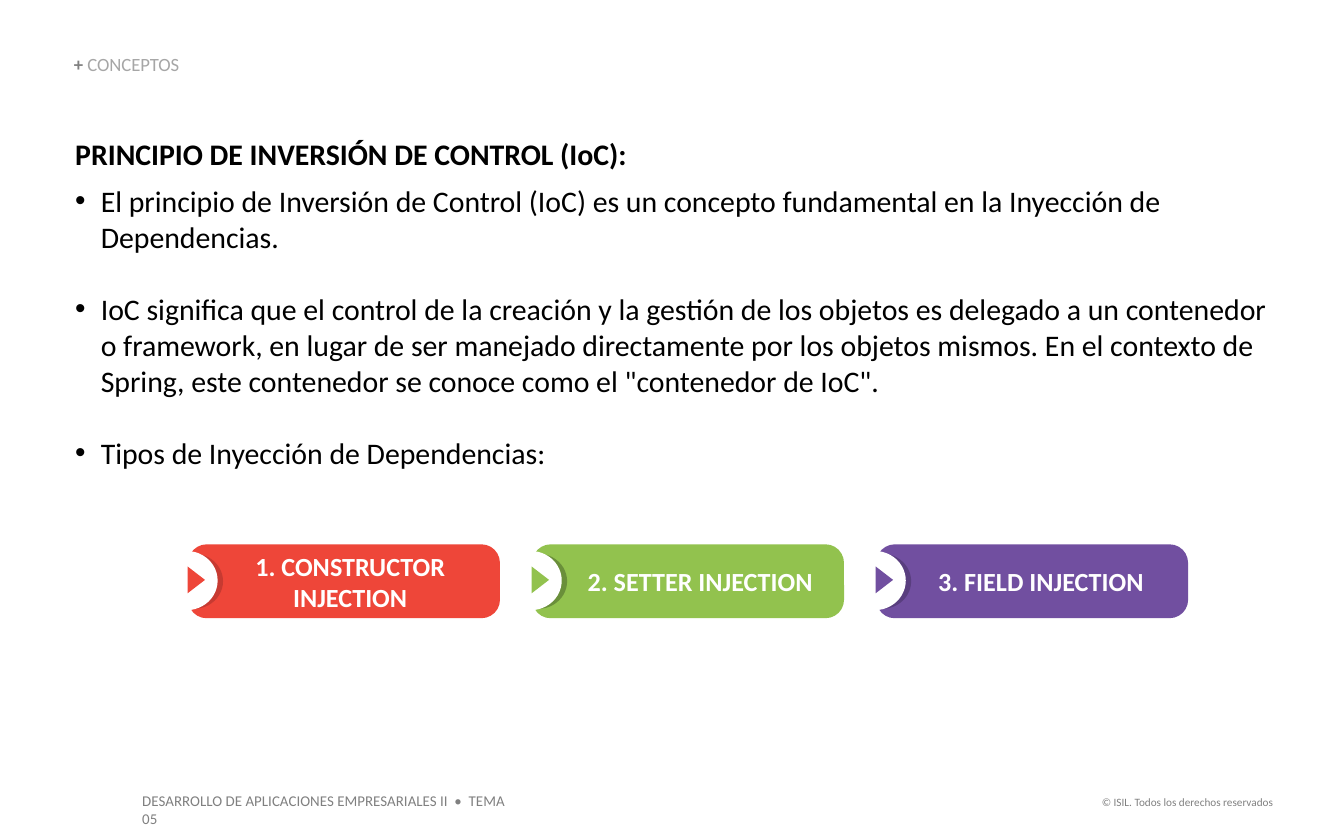
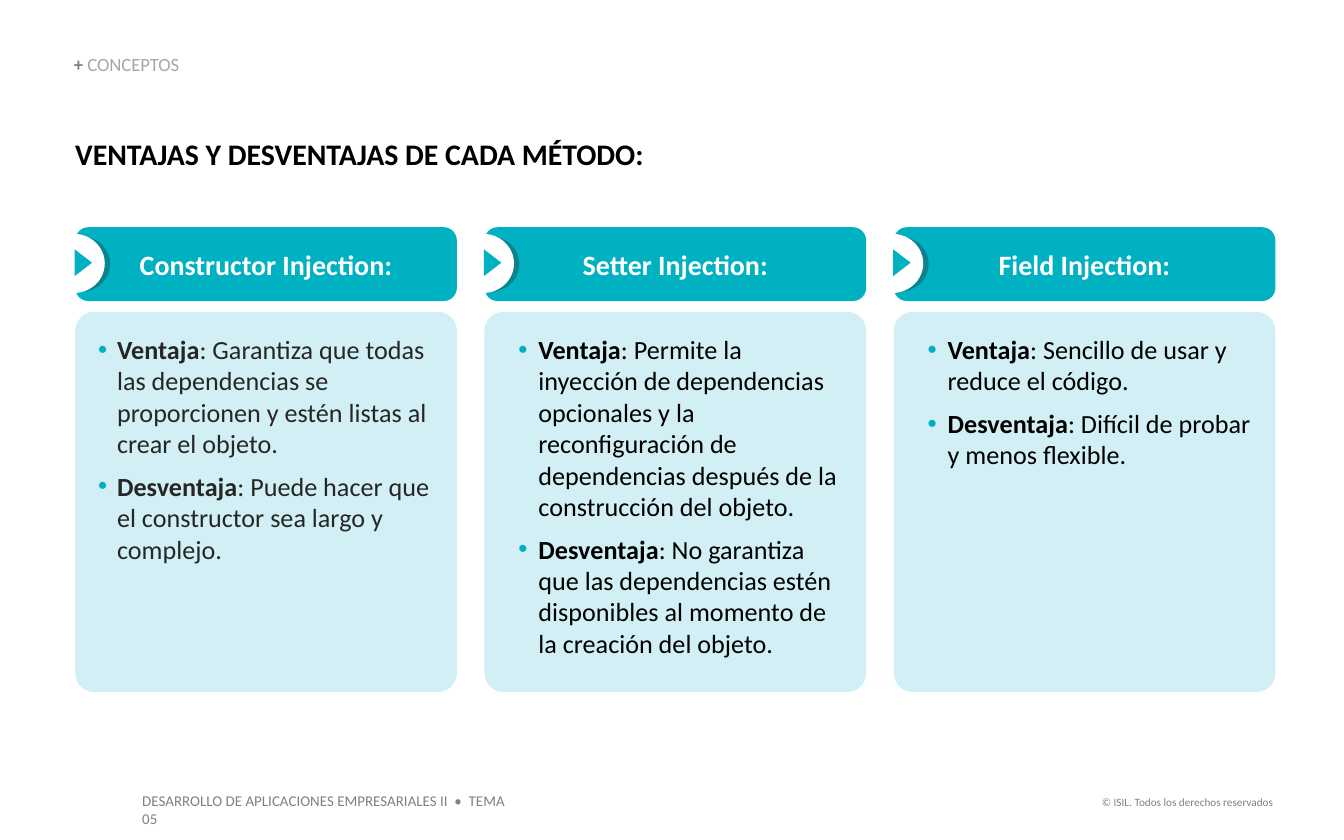
from lxml import etree
from pptx import Presentation
from pptx.dml.color import RGBColor
from pptx.enum import shapes, text
from pptx.oxml import ns
from pptx.util import Inches, Pt

FONT = "Calibri"
BLACK, WHITE, GRAY, LIGHT_GRAY = "000000", "FFFFFF", "808080", "A6A6A6"
TEAL, DARK_TEAL, PALE_TEAL, CHARCOAL = "00B1C2", "0B838E", "D1EFF4", "262626"

SHAPE = shapes.MSO_SHAPE
ALIGN = text.PP_ALIGN
ANCHOR = text.MSO_ANCHOR
ZERO = (0, 0, 0, 0)

# label, fill, dark edge, left inset
INJECTION_TYPES = [
    ("1. CONSTRUCTOR INJECTION", "EE4639", "C73A31", 0.19),
    ("2. SETTER INJECTION", "92C24E", "6A8F3A", 0.28),
    ("3. FIELD INJECTION", "714FA0", "593E7F", 0.23),
]

# heading, advantage, disadvantage, text colour, (margin, hanging indent)
METHODS = [
    ("Constructor Injection:",
     ": Garantiza que todas las dependencias se proporcionen y estén listas al "
     "crear el objeto.",
     ": Puede hacer que el constructor sea largo y complejo.",
     CHARCOAL, (0.15, 0.14)),
    ("Setter Injection:",
     ": Permite la inyección de dependencias opcionales y la reconfiguración de "
     "dependencias después de la construcción del objeto.",
     ": No garantiza que las dependencias estén disponibles al momento de la "
     "creación del objeto.",
     BLACK, (0.24, 0.15)),
    ("Field Injection:",
     ": Sencillo de usar y reduce el código.",
     ": Difícil de probar y menos flexible.",
     BLACK, (0.24, 0.15)),
]

IOC_POINTS = [
    "El principio de Inversión de Control (IoC) es un concepto fundamental en la "
    "Inyección de Dependencias.",
    "IoC significa que el control de la creación y la gestión de los objetos es "
    "delegado a un contenedor o framework, en lugar de ser manejado directamente "
    "por los objetos mismos. En el contexto de Spring, este contenedor se conoce "
    "como el \"contenedor de IoC\".",
    "Tipos de Inyección de Dependencias:",
]


def rgb(value):
    return RGBColor.from_string(value)


def set_frame(tf, insets=(0.1, 0.05, 0.1, 0.05), anchor=ANCHOR.TOP):
    tf.word_wrap = True
    tf.auto_size = text.MSO_AUTO_SIZE.NONE
    tf.vertical_anchor = anchor
    tf.margin_left, tf.margin_top, tf.margin_right, tf.margin_bottom = map(Inches, insets)
    return tf


def add_bullet(p, color, margin, hanging):
    pPr = p._p.get_or_add_pPr()
    pPr.set("marL", str(Inches(margin)))
    pPr.set("indent", str(-Inches(hanging)))
    clr = etree.SubElement(pPr, ns.qn("a:buClr"))
    etree.SubElement(clr, ns.qn("a:srgbClr"), val=color)
    etree.SubElement(pPr, ns.qn("a:buFont"), typeface="Arial")
    etree.SubElement(pPr, ns.qn("a:buChar"), char="•")


def write(tf, *runs, first=True, size=14, color=BLACK, bold=False, align=ALIGN.LEFT,
          before=0, after=0, line=None, level=0, bullet=None):
    """Write one paragraph; a run is a string or (string, bold, color)."""
    p = tf.paragraphs[0] if first else tf.add_paragraph()
    if bullet:
        add_bullet(p, *bullet)
    p.level, p.alignment = level, align
    p.space_before, p.space_after = Pt(0 if first else before), Pt(after)
    if line:
        p.line_spacing = line
    for run in runs:
        content, run_bold, run_color = (run, bold, color) if isinstance(run, str) else run
        r = p.add_run()
        r.text = content
        r.font.name, r.font.size, r.font.bold = FONT, Pt(size), run_bold
        r.font.color.rgb = rgb(run_color)


def add_text_frame(s, box, **frame):
    return set_frame(s.shapes.add_textbox(*map(Inches, box)).text_frame, **frame)


def add_shape(s, kind, box, fill, radius=None):
    sp = s.shapes.add_shape(kind, *map(Inches, box))
    sp.shadow.inherit = False
    sp.fill.solid()
    sp.fill.fore_color.rgb = rgb(fill)
    sp.line.fill.background()
    if radius is not None:
        sp.adjustments[0] = radius
    return sp


def add_tab(s, box, label, fill, edge, radius, size, left_inset=0.1):
    """Rounded label with a notch and an arrowhead on its left side."""
    x, y = box[:2]
    sp = add_shape(s, SHAPE.ROUNDED_RECTANGLE, box, fill, radius)
    tf = set_frame(sp.text_frame, (left_inset, 0.05, 0.1, 0.05), ANCHOR.MIDDLE)
    write(tf, label, size=size, color=WHITE, bold=True, align=ALIGN.CENTER)
    add_shape(s, SHAPE.OVAL, (x - 0.17, y + 0.07, 0.43, 0.41), edge)
    add_shape(s, SHAPE.OVAL, (x - 0.24, y + 0.05, 0.46, 0.44), WHITE)
    arrow = add_shape(s, SHAPE.ISOSCELES_TRIANGLE, (x - 0.04, y + 0.2, 0.2, 0.13), fill)
    arrow.rotation = 90


def columns(box, width, items):
    """Pair items with left edges spread over the box, rightmost first."""
    step = (box[2] - width) / (len(items) - 1)
    return [(box[0] + i * step, item) for i, item in reversed(list(enumerate(items)))]


def add_base_slide(prs, title, title_box):
    s = prs.slides.add_slide(prs.slide_layouts[5])
    sp = s.shapes.title
    sp.left, sp.top, sp.width, sp.height = map(Inches, title_box)
    write(set_frame(sp.text_frame, ZERO), title, size=16, bold=True)

    tf = add_text_frame(s, (0.55, 0.41, 2.66, 0.15), insets=ZERO, anchor=ANCHOR.BOTTOM)
    write(tf, ("+ ", True, GRAY), ("CONCEPTOS", False, LIGHT_GRAY), size=10, line=0.9)
    write(add_text_frame(s, (8.07, 5.87, 1.5, 0.2)),
          "© ISIL. Todos los derechos reservados", size=6, color=GRAY, align=ALIGN.RIGHT)
    write(add_text_frame(s, (0.96, 5.84, 3.02, 0.24)),
          "DESARROLLO DE APLICACIONES EMPRESARIALES II  •  TEMA 05", size=8, color=GRAY)
    return s


def add_points(s, box):
    tf = add_text_frame(s, box, insets=ZERO)
    for i, point in enumerate(IOC_POINTS):
        write(tf, point, first=i == 0, size=16, before=19.5, bullet=(BLACK, 0.19, 0.19))


def add_injection_types(s, box):
    width = 2.32
    for x, (label, fill, edge, inset) in columns(box, width, INJECTION_TYPES):
        add_tab(s, (x, box[1], width, box[3]), label, fill, edge, 0.25, 14, inset)


def add_method_cards(s, box):
    _, y, _, height = box
    width, tab_height, card_offset = 2.84, 0.55, 0.63
    for x, (heading, pro, con, color, indent) in columns(box, width, METHODS):
        add_tab(s, (x, y, width, tab_height), heading, TEAL, DARK_TEAL, 0.18, 15)
        card = add_shape(s, SHAPE.ROUNDED_RECTANGLE,
                         (x, y + card_offset, width, height - card_offset), PALE_TEAL, 0.05)
        tf = set_frame(card.text_frame, (0.12, 0.12, 0.12, 0.05))
        for name, detail in (("Ventaja", pro), ("Desventaja", con)):
            write(tf, (name, True, color), detail, first=name == "Ventaja", color=color,
                  after=6, level=1, bullet=(TEAL, *indent))


def main():
    prs = Presentation()
    prs.slide_width, prs.slide_height = Inches(10), Inches(6.25)

    s = add_base_slide(prs, "PRINCIPIO DE INVERSIÓN DE CONTROL (IoC):", (0.56, 1.01, 9.02, 0.35))
    add_points(s, (0.56, 1.36, 9.02, 2.16))
    add_injection_types(s, (1.4, 4.05, 7.44, 0.55))

    s = add_base_slide(prs, "VENTAJAS Y DESVENTAJAS DE CADA MÉTODO:", (0.56, 1.01, 8.03, 0.35))
    add_method_cards(s, (0.56, 1.69, 8.93, 3.46))

    prs.save("out.pptx")


if __name__ == "__main__":
    main()
